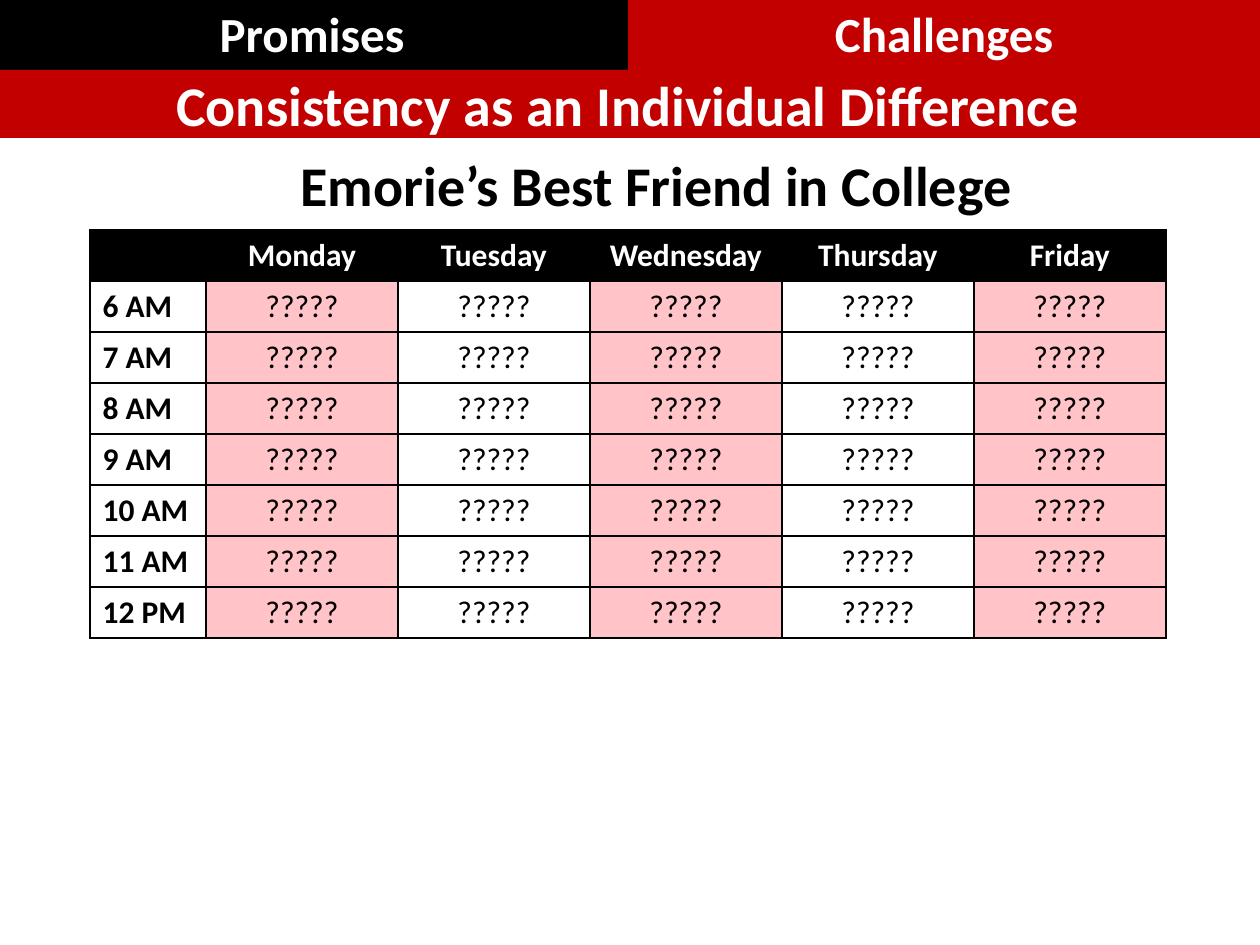
from dataclasses import dataclass

from lxml import etree
from pptx import Presentation
from pptx import util as u
from pptx.dml.color import RGBColor
from pptx.enum import shapes, text
from pptx.oxml.ns import qn

PX_PER_INCH = 126
FONT = "Calibri"
BLACK = RGBColor(0x00, 0x00, 0x00)
WHITE = RGBColor(0xFF, 0xFF, 0xFF)
RED = RGBColor(0xC2, 0x00, 0x00)
PINK = RGBColor(0xFF, 0xC3, 0xC8)
PLAIN_TABLE_STYLE = "{2D5ABB26-0587-4C30-8999-92F81FD0307C}"

DAYS = ["Monday", "Tuesday", "Wednesday", "Thursday", "Friday"]
HOURS = ["6 AM", "7 AM", "8 AM", "9 AM", "10 AM", "11 AM", "12 PM"]
UNKNOWN = "?????"


@dataclass(frozen=True)
class Area:
    left: int
    top: int
    width: int
    height: int


@dataclass(frozen=True)
class Style:
    size: int
    color: RGBColor = BLACK
    bold: bool = True
    align: text.PP_ALIGN = text.PP_ALIGN.CENTER


@dataclass(frozen=True)
class CellLook:
    words: str
    style: Style
    fill: RGBColor | None = None
    anchor: text.MSO_ANCHOR = text.MSO_ANCHOR.TOP


TAB = Style(28, WHITE)
BANNER = Style(32, WHITE)
HEADING = Style(32)
DAY = Style(18, WHITE)
HOUR = Style(18, align=text.PP_ALIGN.LEFT)
ENTRY = Style(18, bold=False)


def px(length: int) -> u.Emu:
    return u.Emu(round(length * u.Inches(1) / PX_PER_INCH))


def place(area: Area) -> tuple[u.Emu, ...]:
    return px(area.left), px(area.top), px(area.width), px(area.height)


def write(frame, words: str, style: Style) -> None:
    para = frame.paragraphs[0]
    para.text = words
    para.alignment = style.align
    para.font.name = FONT
    para.font.size = u.Pt(style.size)
    para.font.bold = style.bold
    para.font.color.rgb = style.color


def add_borders(cell) -> None:
    """Draw a 1 pt black line on each side of the cell."""
    properties = cell._tc.get_or_add_tcPr()
    for index, side in enumerate(("a:lnL", "a:lnR", "a:lnT", "a:lnB")):
        line = etree.Element(qn(side), w=str(u.Pt(1)))
        fill = etree.SubElement(line, qn("a:solidFill"))
        etree.SubElement(fill, qn("a:srgbClr"), val=str(BLACK))
        properties.insert(index, line)


def add_grid(page, left: int, top: int, widths: list[int], row_height: int,
             rows: list[list[CellLook]], bordered: bool) -> None:
    area = Area(left, top, sum(widths), row_height * len(rows))
    table = page.shapes.add_table(len(rows), len(widths), *place(area)).table
    table._tbl.tblPr.find(qn("a:tableStyleId")).text = PLAIN_TABLE_STYLE
    for column, width in zip(table.columns, widths):
        column.width = px(width)
    for row_index, row in enumerate(rows):
        table.rows[row_index].height = px(row_height)
        for column_index, look in enumerate(row):
            cell = table.cell(row_index, column_index)
            write(cell.text_frame, look.words, look.style)
            cell.vertical_anchor = look.anchor
            if look.fill is None:
                cell.fill.background()
            else:
                cell.fill.solid()
                cell.fill.fore_color.rgb = look.fill
            if bordered:
                add_borders(cell)


def add_heading(page, area: Area, words: str) -> None:
    box = page.shapes.add_textbox(*place(area))
    box.text_frame.word_wrap = True
    box.text_frame.auto_size = text.MSO_AUTO_SIZE.SHAPE_TO_FIT_TEXT
    write(box.text_frame, words, HEADING)


def add_banner(page, area: Area, words: str) -> None:
    bar = page.shapes.add_shape(shapes.MSO_SHAPE.RECTANGLE, *place(area))
    bar.shadow.inherit = False
    bar.fill.solid()
    bar.fill.fore_color.rgb = RED
    bar.line.fill.background()
    bar.text_frame.word_wrap = True
    bar.text_frame.vertical_anchor = text.MSO_ANCHOR.MIDDLE
    write(bar.text_frame, words, BANNER)


def schedule_rows() -> list[list[CellLook]]:
    header = [CellLook(day, DAY, BLACK) for day in ["", *DAYS]]
    entries = [CellLook(UNKNOWN, ENTRY, None if index % 2 else PINK)
               for index in range(len(DAYS))]
    return [header] + [[CellLook(hour, HOUR), *entries] for hour in HOURS]


def main() -> None:
    deck = Presentation()
    deck.slide_width, deck.slide_height = u.Inches(10), u.Inches(7.5)
    page = deck.slides.add_slide(deck.slide_layouts[6])

    middle = text.MSO_ANCHOR.MIDDLE
    tabs = [CellLook("Promises", TAB, BLACK, middle),
            CellLook("Challenges", TAB, RED, middle)]
    add_grid(page, -4, -3, [632, 632], 77, [tabs], bordered=False)
    add_heading(page, Area(264, 144, 785, 81), "Emorie’s Best Friend in College")
    add_grid(page, 90, 230, [116] + [192] * len(DAYS), 51, schedule_rows(),
             bordered=True)
    add_banner(page, Area(-4, 70, 1264, 68),
               "Consistency as an Individual Difference")
    deck.save("out.pptx")


if __name__ == "__main__":
    main()
